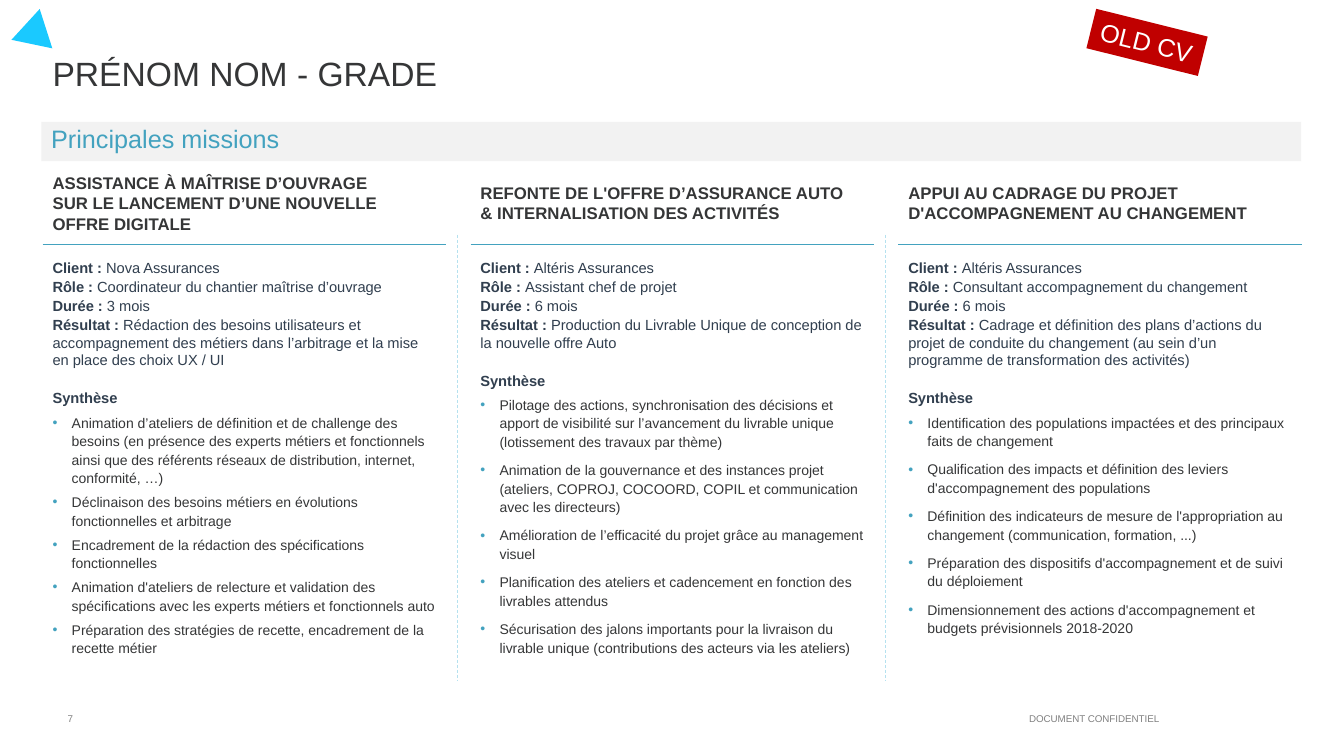
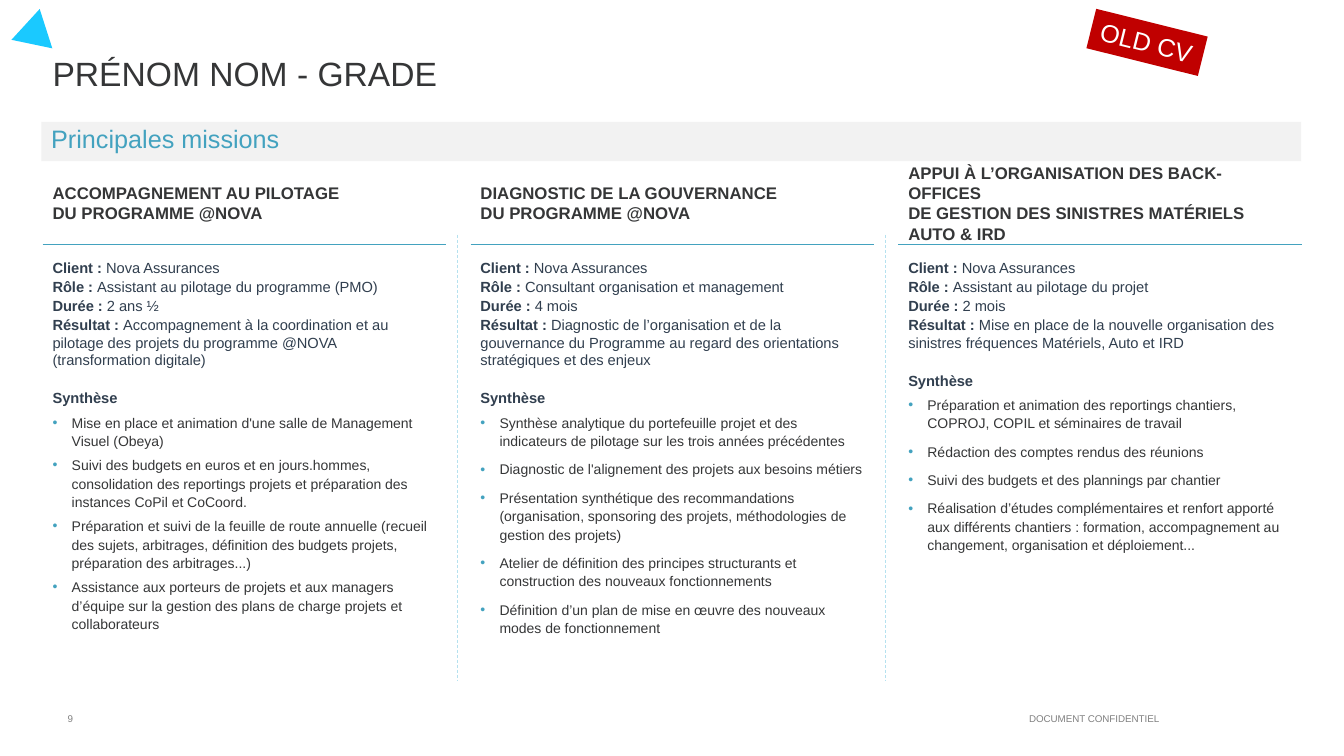
from lxml.etree import SubElement
from pptx import Presentation
from pptx.dml.color import RGBColor
from pptx.enum.dml import MSO_LINE
from pptx.enum.shapes import MSO_CONNECTOR, MSO_SHAPE
from pptx.enum.text import MSO_ANCHOR, PP_ALIGN
from pptx.oxml.ns import qn
from pptx.util import Pt

TITLE = "PRÉNOM NOM - GRADE"
BANNER = "Principales missions"
STAMP = "OLD CV"
FOOTER = "DOCUMENT CONFIDENTIEL"
SUMMARY = "Synthèse"
LABELS = ("Client", "Rôle", "Durée", "Résultat")

PAGES = [
    ("7", [
        ("ASSISTANCE À MAÎTRISE D’OUVRAGE\nSUR LE LANCEMENT D’UNE NOUVELLE OFFRE DIGITALE",
         ("Nova Assurances",
          "Coordinateur du chantier maîtrise d’ouvrage",
          "3 mois",
          "Rédaction des besoins utilisateurs et accompagnement des métiers dans l’arbitrage "
          "et la mise en place des choix UX / UI"),
         ["Animation d’ateliers de définition et de challenge des besoins (en présence des experts "
          "métiers et fonctionnels ainsi que des référents réseaux de distribution, internet, "
          "conformité, …)",
          "Déclinaison des besoins métiers en évolutions fonctionnelles et arbitrage",
          "Encadrement de la rédaction des spécifications fonctionnelles",
          "Animation d'ateliers de relecture et validation des spécifications avec les experts "
          "métiers et fonctionnels auto",
          "Préparation des stratégies de recette, encadrement de la recette métier"]),
        ("REFONTE DE L'OFFRE D’ASSURANCE AUTO\n& INTERNALISATION DES ACTIVITÉS",
         ("Altéris Assurances",
          "Assistant chef de projet",
          "6 mois",
          "Production du Livrable Unique de conception de la nouvelle offre Auto"),
         ["Pilotage des actions, synchronisation des décisions et apport de visibilité sur "
          "l’avancement du livrable unique (lotissement des travaux par thème)",
          "Animation de la gouvernance et des instances projet (ateliers, COPROJ, COCOORD, COPIL "
          "et communication avec les directeurs)",
          "Amélioration de l’efficacité du projet grâce au management visuel",
          "Planification des ateliers et cadencement en fonction des livrables attendus",
          "Sécurisation des jalons importants pour la livraison du livrable unique (contributions "
          "des acteurs via les ateliers)"]),
        ("APPUI AU CADRAGE DU PROJET D'ACCOMPAGNEMENT AU CHANGEMENT",
         ("Altéris Assurances",
          "Consultant accompagnement du changement",
          "6 mois",
          "Cadrage et définition des plans d’actions du projet de conduite du changement "
          "(au sein d’un programme de transformation des activités)"),
         ["Identification des populations impactées et des principaux faits de changement",
          "Qualification des impacts et définition des leviers d'accompagnement des populations",
          "Définition des indicateurs de mesure de l'appropriation au changement (communication, "
          "formation, ...)",
          "Préparation des dispositifs d'accompagnement et de suivi du déploiement",
          "Dimensionnement des actions d'accompagnement et budgets prévisionnels 2018-2020"]),
    ]),
    ("9", [
        ("ACCOMPAGNEMENT AU PILOTAGE\nDU PROGRAMME @NOVA",
         ("Nova Assurances",
          "Assistant au pilotage du programme (PMO)",
          "2 ans ½",
          "Accompagnement à la coordination et au pilotage des projets du programme @NOVA "
          "(transformation digitale)"),
         ["Mise en place et animation d'une salle de Management Visuel (Obeya)",
          "Suivi des budgets en euros et en jours.hommes, consolidation des reportings projets et "
          "préparation des instances CoPil et CoCoord.",
          "Préparation et suivi de la feuille de route annuelle (recueil des sujets, arbitrages, "
          "définition des budgets projets, préparation des arbitrages...)",
          "Assistance aux porteurs de projets et aux managers d’équipe sur la gestion des plans "
          "de charge projets et collaborateurs"]),
        ("DIAGNOSTIC DE LA GOUVERNANCE\nDU PROGRAMME @NOVA",
         ("Nova Assurances",
          "Consultant organisation et management",
          "4 mois",
          "Diagnostic de l’organisation et de la gouvernance du Programme au regard des "
          "orientations stratégiques et des enjeux"),
         ["Synthèse analytique du portefeuille projet et des indicateurs de pilotage sur les trois "
          "années précédentes",
          "Diagnostic de l'alignement des projets aux besoins métiers",
          "Présentation synthétique des recommandations (organisation, sponsoring des projets, "
          "méthodologies de gestion des projets)",
          "Atelier de définition des principes structurants et construction des nouveaux "
          "fonctionnements",
          "Définition d’un plan de mise en œuvre des nouveaux modes de fonctionnement"]),
        ("APPUI À L’ORGANISATION DES BACK-OFFICES\nDE GESTION DES SINISTRES MATÉRIELS AUTO & IRD",
         ("Nova Assurances",
          "Assistant au pilotage du projet",
          "2 mois",
          "Mise en place de la nouvelle organisation des sinistres fréquences Matériels, "
          "Auto et IRD"),
         ["Préparation et animation des reportings chantiers, COPROJ, COPIL et séminaires de travail",
          "Rédaction des comptes rendus des réunions",
          "Suivi des budgets et des plannings par chantier",
          "Réalisation d’études complémentaires et renfort apporté aux différents chantiers : "
          "formation, accompagnement au changement, organisation et déploiement..."]),
    ]),
]

COLORS = {"text": "353637", "detail": "313F4F", "accent": "43A2BF", "divider": "B5E1EF",
          "band": "F2F2F2", "stamp": "C00000", "triangle": "1AC9FF", "footer": "808080",
          "white": "FFFFFF"}
FONT = "Arial"
LEFT, COLUMN_PITCH, COLUMN_WIDTH = 30.5, 305.6, 288
RULE_Y, DIVIDER_TOP, BODY_TOP, BODY_BOTTOM = 174.24, 167.8, 181.44, 486.7
DIVIDER_GAP = 9.3
BULLET_INDENT = 13.7
BULLET_AFTER = (1, 4, 4)


def rgb(name):
    return RGBColor.from_string(COLORS[name])


def style(paragraph, size, color, bold=None, align=PP_ALIGN.LEFT):
    paragraph.alignment = align
    paragraph.font.name = FONT
    paragraph.font.size = Pt(size)
    paragraph.font.color.rgb = rgb(color)
    paragraph.font.bold = bold


def add_text(slide, box, text, size, color, bold=None, align=PP_ALIGN.LEFT, wrap=True):
    frame = slide.shapes.add_textbox(*map(Pt, box)).text_frame
    frame.word_wrap = wrap
    frame.vertical_anchor = MSO_ANCHOR.MIDDLE
    frame.paragraphs[0].text = text
    style(frame.paragraphs[0], size, color, bold, align)


def add_block(slide, preset, box, fill, rotation=0):
    block = slide.shapes.add_shape(preset, *map(Pt, box))
    block.shadow.inherit = False
    block.fill.solid()
    block.fill.fore_color.rgb = rgb(fill)
    block.line.fill.background()
    block.rotation = rotation
    return block


def add_label(slide, box, fill, text, color, rotation=0, wrap=True, spacing=None):
    frame = add_block(slide, MSO_SHAPE.RECTANGLE, box, fill, rotation).text_frame
    frame.word_wrap = wrap
    frame.vertical_anchor = MSO_ANCHOR.TOP
    frame.paragraphs[0].text = text
    frame.paragraphs[0].line_spacing = spacing
    style(frame.paragraphs[0], 18, color)


def add_line(slide, x1, y1, x2, y2, color, dash=None):
    line = slide.shapes.add_connector(MSO_CONNECTOR.STRAIGHT, Pt(x1), Pt(y1), Pt(x2), Pt(y2))
    line.line.color.rgb = rgb(color)
    line.line.width = Pt(0.5)
    line.line.dash_style = dash
    SubElement(line._element.spPr, qn("a:effectLst"))


def add_bullet(paragraph):
    properties = paragraph._p.get_or_add_pPr()
    properties.set("marL", str(Pt(BULLET_INDENT)))
    properties.set("indent", str(-Pt(BULLET_INDENT)))
    bullet_color = SubElement(properties, qn("a:buClr"))
    SubElement(bullet_color, qn("a:srgbClr"), val=COLORS["accent"])
    SubElement(properties, qn("a:buFont"), typeface=FONT)
    SubElement(properties, qn("a:buChar"), char="•")


def add_mission_body(slide, left, details, tasks, after):
    box = (left, BODY_TOP, COLUMN_WIDTH, BODY_BOTTOM - BODY_TOP)
    frame = slide.shapes.add_textbox(*map(Pt, box)).text_frame
    frame.word_wrap = True
    for index, (label, value) in enumerate(zip(LABELS, details)):
        detail = frame.add_paragraph() if index else frame.paragraphs[0]
        detail.space_after = Pt(1)
        style(detail, 10.5, "detail")
        caption = detail.add_run()
        caption.text = f"{label} : "
        caption.font.bold = True
        detail.add_run().text = value
    summary = frame.add_paragraph()
    summary.text = SUMMARY
    summary.space_before, summary.space_after = Pt(13.5), Pt(1)
    style(summary, 10.5, "detail", True)
    for text in tasks:
        task = frame.add_paragraph()
        task.text = text
        task.line_spacing = 1.1
        task.space_before, task.space_after = Pt(3), Pt(after)
        add_bullet(task)
        style(task, 10, "text")


def add_frame(slide, number):
    add_text(slide, (727.2, 499, 108.7, 28.8), FOOTER, 7, "footer",
             align=PP_ALIGN.CENTER, wrap=False)
    add_block(slide, MSO_SHAPE.ISOSCELES_TRIANGLE, (5.8, 11.5, 29.5, 25.9), "triangle", 252.2)
    add_text(slide, (LEFT, 499, 28.8, 28.8), number, 7, "footer", align=PP_ALIGN.RIGHT)
    add_text(slide, (LEFT, 38.2, 900, 28), TITLE, 24, "text")
    add_label(slide, (29.5, 87.1, 900, 28), "band", BANNER, "accent", spacing=0.9)
    add_label(slide, (778.3, 15.8, 82.1, 29), "stamp", STAMP, "white", 14, wrap=False)


def main():
    deck = Presentation()
    deck.slide_width, deck.slide_height = Pt(960), Pt(540)
    for number, missions in PAGES:
        slide = deck.slides.add_slide(deck.slide_layouts[6])
        add_frame(slide, number)
        for index, (heading, details, tasks) in enumerate(missions):
            left = LEFT + index * COLUMN_PITCH
            add_text(slide, (left, 121.7, COLUMN_WIDTH, 46.8), heading, 12, "text", True)
            add_mission_body(slide, left, details, tasks, BULLET_AFTER[index])
            add_line(slide, left, RULE_Y, left + COLUMN_WIDTH, RULE_Y, "accent")
            if index:
                divider = left - DIVIDER_GAP
                add_line(slide, divider, DIVIDER_TOP, divider, BODY_BOTTOM, "divider",
                         MSO_LINE.DASH)
    deck.save("out.pptx")


if __name__ == "__main__":
    main()
